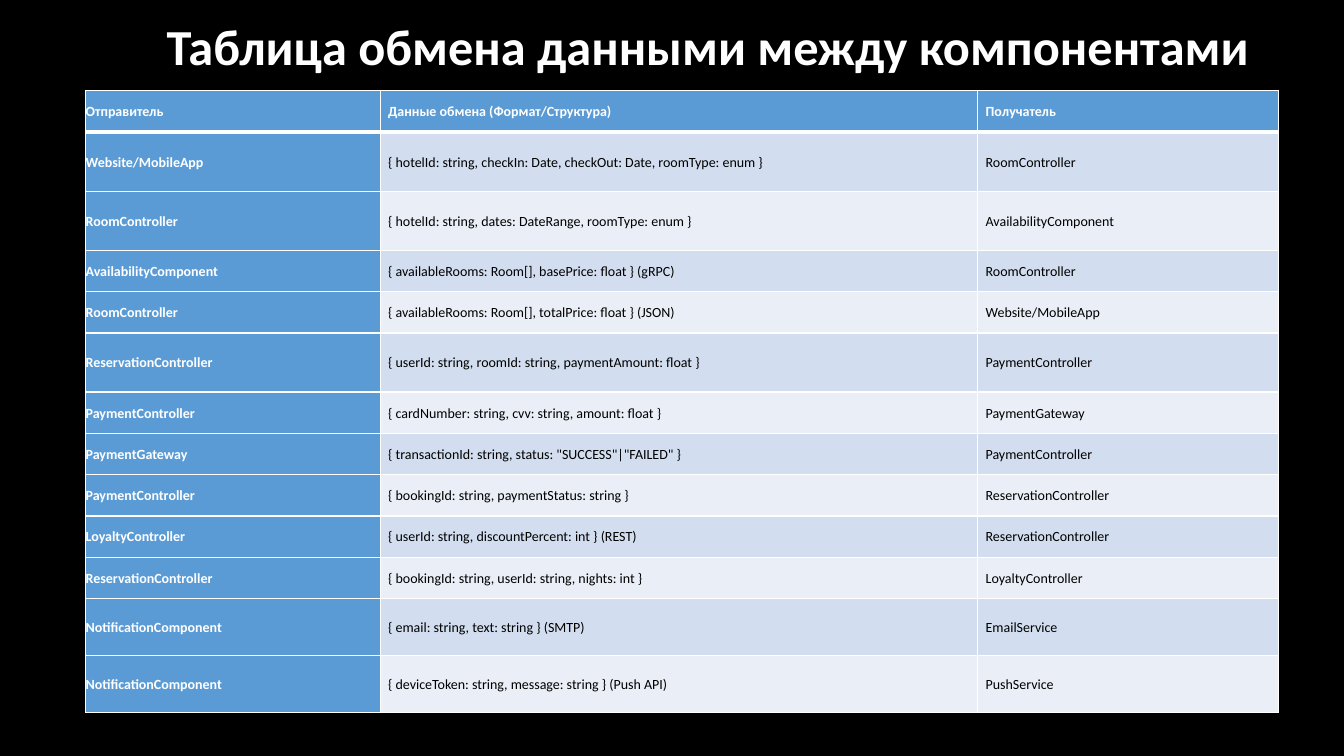
from dataclasses import dataclass

from lxml import etree
from pptx import Presentation
from pptx.dml.color import RGBColor
from pptx.enum import text
from pptx.oxml import ns
from pptx.util import Cm, Pt


@dataclass(frozen=True)
class Theme:
    font: str = "Calibri"
    title_size: int = 36
    cell_size: int = 10
    back: str = "000000"
    light: str = "FFFFFF"
    dark: str = "000000"
    accent: str = "5B9BD5"
    bands: tuple = ("D2DEEF", "EAEFF7")


THEME = Theme()


def style(para, size, color, bold):
    para.font.name = THEME.font
    para.font.size = Pt(size)
    para.font.bold = bold
    para.font.color.rgb = RGBColor.from_string(color)
    para.line_spacing = 1.07
    para.space_before = Pt(0)
    para.space_after = Pt(8)


def add_border(cell, side, width):
    line = etree.SubElement(cell._tc.get_or_add_tcPr(), ns.qn(f"a:ln{side}"), w=str(Pt(width)))
    fill = etree.SubElement(line, ns.qn("a:solidFill"))
    etree.SubElement(fill, ns.qn("a:srgbClr"), val=THEME.light)


# Slide with a black background
deck = Presentation()
deck.slide_width, deck.slide_height = Cm(33.87), Cm(19.05)
page = deck.slides.add_slide(deck.slide_layouts.get_by_name("Title Only"))
page.background.fill.solid()
page.background.fill.fore_color.rgb = RGBColor.from_string(THEME.back)

# Title
title = page.shapes.title
title.left, title.top, title.width, title.height = Cm(2.34), Cm(0.15), Cm(31.01), Cm(1.83)
frame = title.text_frame
frame.text = "Таблица обмена данными между компонентами"
frame.word_wrap = True
frame.auto_size = text.MSO_AUTO_SIZE.NONE
frame.vertical_anchor = text.MSO_ANCHOR.TOP
frame.paragraphs[0].alignment = text.PP_ALIGN.CENTER
style(frame.paragraphs[0], THEME.title_size, THEME.light, True)

# Exchange data: row height, sender, payload, receiver
LOW, MID, HIGH = 1.04, 1.44, 1.49
exchanges = [
    (LOW, "Отправитель", "Данные обмена (Формат/Структура)", "Получатель"),
    (HIGH, "Website/MobileApp",
     "{ hotelId: string, checkIn: Date, checkOut: Date, roomType: enum }", "RoomController"),
    (HIGH, "RoomController",
     "{ hotelId: string, dates: DateRange, roomType: enum }", "AvailabilityComponent"),
    (LOW, "AvailabilityComponent",
     "{ availableRooms: Room[], basePrice: float } (gRPC)", "RoomController"),
    (LOW, "RoomController",
     "{ availableRooms: Room[], totalPrice: float } (JSON)", "Website/MobileApp"),
    (HIGH, "ReservationController",
     "{ userId: string, roomId: string, paymentAmount: float }", "PaymentController"),
    (LOW, "PaymentController",
     "{ cardNumber: string, cvv: string, amount: float }", "PaymentGateway"),
    (LOW, "PaymentGateway",
     '{ transactionId: string, status: "SUCCESS"|"FAILED" }', "PaymentController"),
    (LOW, "PaymentController",
     "{ bookingId: string, paymentStatus: string }", "ReservationController"),
    (LOW, "LoyaltyController",
     "{ userId: string, discountPercent: int } (REST)", "ReservationController"),
    (LOW, "ReservationController",
     "{ bookingId: string, userId: string, nights: int }", "LoyaltyController"),
    (MID, "NotificationComponent",
     "{ email: string, text: string } (SMTP)", "EmailService"),
    (MID, "NotificationComponent",
     "{ deviceToken: string, message: string } (Push API)", "PushService"),
]
widths = (7.42, 15.06, 7.57)

# Table grid
table = page.shapes.add_table(
    len(exchanges), len(widths), Cm(2.16), Cm(2.29),
    Cm(sum(widths)), Cm(sum(height for height, *_ in exchanges)),
).table
table.first_col = True
for column, width in zip(table.columns, widths):
    column.width = Cm(width)

# Table cells: blue header row and sender column, banded body
for r, (height, *words) in enumerate(exchanges):
    table.rows[r].height = Cm(height)
    for c, word in enumerate(words):
        cell = table.cell(r, c)
        heading = r == 0 or c == 0
        cell.text = word
        cell.vertical_anchor = text.MSO_ANCHOR.MIDDLE
        cell.margin_left = Cm(0 if c == 0 else 0.2)
        cell.margin_right = cell.margin_top = cell.margin_bottom = Cm(0.2)
        style(cell.text_frame.paragraphs[0], THEME.cell_size,
              THEME.light if heading else THEME.dark, heading)
        for side in "LRTB":
            under_header = (r, side) in ((0, "B"), (1, "T"))
            add_border(cell, side, 3 if under_header else 1)
        cell.fill.solid()
        cell.fill.fore_color.rgb = RGBColor.from_string(
            THEME.accent if heading else THEME.bands[(r - 1) % 2])

deck.save("out.pptx")
